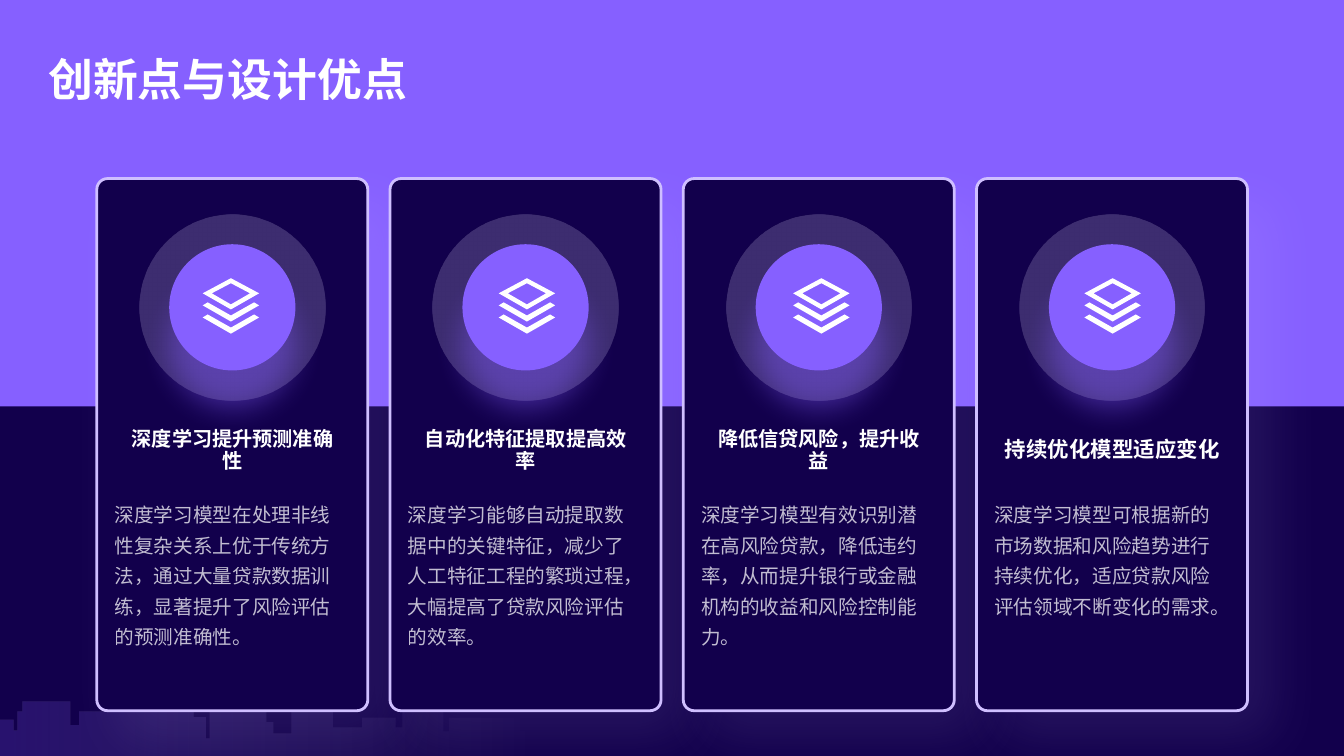
from dataclasses import dataclass
from typing import Optional

from lxml.etree import SubElement
from pptx import Presentation
from pptx.dml.color import RGBColor
from pptx.enum.shapes import MSO_SHAPE
from pptx.enum.text import MSO_ANCHOR, PP_ALIGN
from pptx.oxml.ns import qn
from pptx.shapes.autoshape import Shape
from pptx.shapes.shapetree import SlideShapes
from pptx.util import Cm, Pt

Points = list[tuple[int, int]]


@dataclass(frozen=True)
class Theme:
    font: str = "Noto Sans CJK SC"
    navy: str = "12004C"
    violet: str = "8660FF"
    lilac: str = "CFBFFF"
    mist: str = "E7DFFF"
    pale: str = "F9F7FF"
    white: str = "FFFFFF"
    body: str = "FDFDFF"
    title_size: float = 32
    heading_size: float = 14.4
    large_heading_size: float = 15.3
    body_size: float = 14


@dataclass(frozen=True)
class Box:
    left: float
    top: float
    width: float
    height: float


@dataclass(frozen=True)
class Shadow:
    color: str
    opacity: int
    blur: int
    distance: int
    angle: int


@dataclass(frozen=True)
class GradientStop:
    position: int
    color: str
    opacity: int


@dataclass(frozen=True)
class TextStyle:
    size: float
    color: str
    line_spacing: float
    bold: bool = False
    opacity: int = 100
    align: PP_ALIGN = PP_ALIGN.LEFT
    anchor: MSO_ANCHOR = MSO_ANCHOR.TOP
    space_after: float = 0


@dataclass(frozen=True)
class Advantage:
    heading: str
    body: str
    heading_size: float
    icon_center: float


@dataclass(frozen=True)
class Building:
    right: int
    roof: int


THEME = Theme()
OUTLINE_UNIT = Cm(2.54) / 100
SLIDE_WIDTH, SLIDE_HEIGHT = 33.87, 19.05
SKYLINE_GROUND = 750
CARD_LEFT, CARD_TOP, CARD_STEP = 2.44, 4.5, 7.39
CARD_WIDTH, CARD_HEIGHT = 6.83, 13.41
RING_SIZE, DISC_SIZE, RING_TOP = 4.67, 3.18, 5.41
ICON_TOP = 7.01
CARD_SHADOW = Shadow(THEME.lilac, 10, 39, 24, 45)
DISC_SHADOW = Shadow(THEME.violet, 42, 22, 27, 90)

ADVANTAGES = [
    Advantage("深度学习提升预测准确性",
              "深度学习模型在处理非线性复杂关系上优于传统方法，通过大量贷款数据训练，显著提升了风险评估的预测准确性。",
              THEME.heading_size, 3.38),
    Advantage("自动化特征提取提高效率",
              "深度学习能够自动提取数据中的关键特征，减少了人工特征工程的繁琐过程，大幅提高了贷款风险评估的效率。",
              THEME.heading_size, 3.45),
    Advantage("降低信贷风险，提升收益",
              "深度学习模型有效识别潜在高风险贷款，降低违约率，从而提升银行或金融机构的收益和风险控制能力。",
              THEME.heading_size, 3.48),
    Advantage("持续优化模型适应变化",
              "深度学习模型可根据新的市场数据和风险趋势进行持续优化，适应贷款风险评估领域不断变化的需求。",
              THEME.large_heading_size, 3.43),
]

CHEVRON = [(23, 36), (28, 39), (0, 55), (-28, 39), (-23, 36), (0, 49)]
LAYERS_ICON = [
    CHEVRON,
    [(x, y - 12) for x, y in CHEVRON],
    [(0, 0), (28, 15), (0, 31), (-28, 15)],
    [(0, 5), (-19, 15), (0, 26), (19, 15)],
]

SKYLINE = [
    Building(14, 714), Building(18, 724), Building(23, 706), Building(70, 696),
    Building(79, 719), Building(134, 706), Building(192, 667), Building(204, 711),
    Building(208, 732), Building(264, 686), Building(271, 716), Building(289, 727),
    Building(330, 704), Building(359, 721), Building(392, 712), Building(399, 721),
    Building(439, 706), Building(445, 725), Building(515, 712), Building(546, 724),
]


def skyline_outline() -> Points:
    outline = [(0, SKYLINE_GROUND)]
    for building in SKYLINE:
        outline += [(outline[-1][0], building.roof), (building.right, building.roof)]
    return outline + [(outline[-1][0], SKYLINE_GROUND)]


def add_color(parent, color: str, opacity: int) -> None:
    element = SubElement(parent, qn("a:srgbClr"), val=color)
    SubElement(element, qn("a:alpha"), val=str(opacity * 1000))


def paint(shape: Shape, color: str, shadow: Optional[Shadow] = None) -> None:
    shape.fill.solid()
    shape.fill.fore_color.rgb = RGBColor.from_string(color)
    shape.line.fill.background()
    shape.shadow.inherit = False
    if shadow:
        effects = shape._element.spPr.find(qn("a:effectLst"))
        outer = SubElement(effects, qn("a:outerShdw"), blurRad=str(Pt(shadow.blur)),
                           dist=str(Pt(shadow.distance)), dir=str(shadow.angle * 60000),
                           algn="ctr", rotWithShape="0")
        add_color(outer, shadow.color, shadow.opacity)


def paint_gradient(shape: Shape, stops: list[GradientStop], angle: Optional[int] = None) -> None:
    shape.fill.gradient()
    shape.line.fill.background()
    shape.shadow.inherit = False
    gradient = shape._element.spPr.find(qn("a:gradFill"))
    for child in list(gradient):
        gradient.remove(child)
    stop_list = SubElement(gradient, qn("a:gsLst"))
    for stop in stops:
        add_color(SubElement(stop_list, qn("a:gs"), pos=str(stop.position * 1000)),
                  stop.color, stop.opacity)
    if angle is None:
        circle = SubElement(gradient, qn("a:path"), path="circle")
        SubElement(circle, qn("a:fillToRect"), {side: "50000" for side in "ltrb"})
    else:
        SubElement(gradient, qn("a:lin"), ang=str(angle * 60000), scaled="0")


def add_preset(shapes: SlideShapes, kind: MSO_SHAPE, box: Box) -> Shape:
    return shapes.add_shape(kind, Cm(box.left), Cm(box.top), Cm(box.width), Cm(box.height))


def add_outline(shapes: SlideShapes, contours: list[Points], left: float, top: float) -> Shape:
    builder = shapes.build_freeform(*contours[0][0], scale=OUTLINE_UNIT)
    builder.add_line_segments(contours[0][1:])
    for contour in contours[1:]:
        builder.move_to(*contour[0])
        builder.add_line_segments(contour[1:])
    return builder.convert_to_shape(Cm(left), Cm(top))


def add_text(shapes: SlideShapes, text: str, box: Box, style: TextStyle) -> None:
    frame = shapes.add_textbox(Cm(box.left), Cm(box.top), Cm(box.width), Cm(box.height)).text_frame
    frame.word_wrap = True
    frame.vertical_anchor = style.anchor
    paragraph = frame.paragraphs[0]
    paragraph.alignment = style.align
    paragraph.line_spacing = style.line_spacing
    paragraph.space_after = Pt(style.space_after)
    run = paragraph.add_run()
    run.text = text
    run.font.size = Pt(style.size)
    run.font.bold = style.bold
    run.font.name = THEME.font
    run.font.color.rgb = RGBColor.from_string(style.color)
    properties = run._r.get_or_add_rPr()
    SubElement(properties, qn("a:ea"), typeface=THEME.font)
    if style.opacity < 100:
        color = properties.find(".//" + qn("a:srgbClr"))
        SubElement(color, qn("a:alpha"), val=str(style.opacity * 1000))


def add_circle(shapes: SlideShapes, card_left: float, size: float) -> Shape:
    return add_preset(shapes, MSO_SHAPE.OVAL,
                      Box(card_left + (CARD_WIDTH - size) / 2,
                          RING_TOP + (RING_SIZE - size) / 2, size, size))


def add_card(shapes: SlideShapes, advantage: Advantage, left: float) -> None:
    card = add_preset(shapes, MSO_SHAPE.ROUNDED_RECTANGLE, Box(left, CARD_TOP, CARD_WIDTH, CARD_HEIGHT))
    card.adjustments[0] = 0.04
    paint(card, THEME.navy, CARD_SHADOW)
    card.line.color.rgb = RGBColor.from_string(THEME.lilac)
    card.line.width = Pt(2)
    add_text(shapes, advantage.heading, Box(left + 0.41, 10.8, 6.02, 1.12),
             TextStyle(advantage.heading_size, THEME.white, 0.9, bold=True,
                       align=PP_ALIGN.CENTER, anchor=MSO_ANCHOR.MIDDLE))
    add_text(shapes, advantage.body, Box(left + 0.2, 12.37, 6.4, 5.16),
             TextStyle(THEME.body_size, THEME.body, 1.3, opacity=75, space_after=3))
    ring = add_circle(shapes, left, RING_SIZE)
    ring.rotation = 329
    paint_gradient(ring, [GradientStop(53, THEME.mist, 20), GradientStop(100, THEME.violet, 10)])
    paint(add_circle(shapes, left, DISC_SIZE), THEME.violet, DISC_SHADOW)
    paint(add_outline(shapes, LAYERS_ICON, left + advantage.icon_center, ICON_TOP), THEME.white)


def main() -> None:
    presentation = Presentation()
    presentation.slide_width, presentation.slide_height = Cm(SLIDE_WIDTH), Cm(SLIDE_HEIGHT)
    slide = presentation.slides.add_slide(presentation.slide_layouts[6])
    slide.background.fill.solid()
    slide.background.fill.fore_color.rgb = RGBColor.from_string(THEME.navy)
    shapes = slide.shapes
    paint_gradient(add_outline(shapes, [skyline_outline()], 0, 0),
                   [GradientStop(0, THEME.pale, 0), GradientStop(100, THEME.violet, 20)], 180)
    paint(add_preset(shapes, MSO_SHAPE.RECTANGLE, Box(0, 0, SLIDE_WIDTH, 10.24)), THEME.violet)
    for index, advantage in enumerate(ADVANTAGES):
        add_card(shapes, advantage, CARD_LEFT + index * CARD_STEP)
    add_text(shapes, "创新点与设计优点", Box(0.97, 0.84, 31.93, 2.01),
             TextStyle(THEME.title_size, THEME.white, 1.2, bold=True, anchor=MSO_ANCHOR.MIDDLE))
    presentation.save("out.pptx")


if __name__ == "__main__":
    main()
